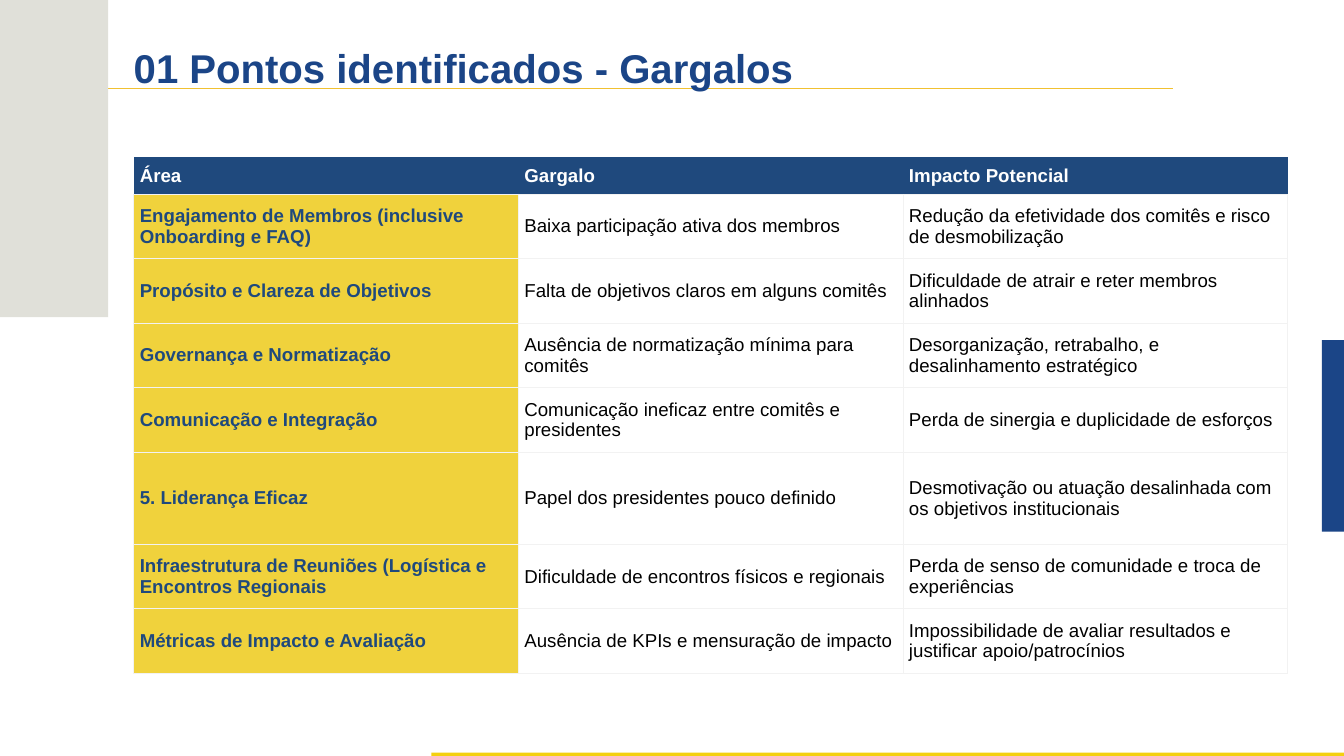
from lxml.etree import SubElement
from pptx import Presentation
from pptx.dml.color import RGBColor
from pptx.enum.shapes import MSO_CONNECTOR, MSO_SHAPE
from pptx.enum.text import MSO_ANCHOR
from pptx.oxml.ns import qn
from pptx.util import Inches, Pt

# Content
TITLE = "01 Pontos identificados - Gargalos"
HEAD = ("Área", "Gargalo", "Impacto Potencial")
ROWS = [
    ("Engajamento de Membros (inclusive Onboarding e FAQ)",
     "Baixa participação ativa dos membros",
     "Redução da efetividade dos comitês e risco de desmobilização"),
    ("Propósito e Clareza de Objetivos",
     "Falta de objetivos claros em alguns comitês",
     "Dificuldade de atrair e reter membros alinhados"),
    ("Governança e Normatização",
     "Ausência de normatização mínima para comitês",
     "Desorganização, retrabalho, e desalinhamento estratégico"),
    ("Comunicação e Integração",
     "Comunicação ineficaz entre comitês e presidentes",
     "Perda de sinergia e duplicidade de esforços"),
    ("5. Liderança Eficaz",
     "Papel dos presidentes pouco definido",
     "Desmotivação ou atuação desalinhada com os objetivos institucionais"),
    ("Infraestrutura de Reuniões (Logística e Encontros Regionais",
     "Dificuldade de encontros físicos e regionais",
     "Perda de senso de comunidade e troca de experiências"),
    ("Métricas de Impacto e Avaliação",
     "Ausência de KPIs e mensuração de impacto",
     "Impossibilidade de avaliar resultados e justificar apoio/patrocínios"),
]

THEME = dict(
    font="Arial", title=43, body=20,
    blue="1B4587", navy="1F497D", gold="F0D23C", sun="F4D010",
    rule="F1C131", sand="E0E0D9", grid="F2F2F2", white="FFFFFF", black="000000",
)

# Layout, in inches
WIDE, HIGH = 20, 11.25
SIDE = 1.61                      # width of the sand block
LEFT, TOP, SPAN = 1.99, 2.34, 17.17
HEAD_H, ROW_H, TALL_H = 0.55, 0.96, 1.37
TALL = 5                         # the one taller row
BLOCKS = [                       # left, top, right, bottom, colour
    (19.67, 5.06, WIDE, 7.91, "blue"),
    (6.42, 11.2, WIDE, HIGH, "sun"),
    (0, 0, SIDE, 4.72, "sand"),
]


def tint(key):
    return RGBColor.from_string(THEME[key])


def write(frame, text, size="body", color="black", bold=False):
    frame.word_wrap = True
    run = frame.paragraphs[0].add_run()
    run.text = text
    font = run.font
    font.name, font.size, font.bold = THEME["font"], Pt(THEME[size]), bold
    font.color.rgb = tint(color)


def edge(cell, sides):
    props = cell._tc.get_or_add_tcPr()
    for side in "LRTB":
        line = SubElement(props, qn("a:ln" + side), w=str(Pt(1)))
        if side in sides:
            fill = SubElement(line, qn("a:solidFill"))
            SubElement(fill, qn("a:srgbClr"), val=THEME["grid"])
        else:
            SubElement(line, qn("a:noFill"))


deck = Presentation()
deck.slide_width, deck.slide_height = Inches(WIDE), Inches(HIGH)
slide = deck.slides.add_slide(deck.slide_layouts[6])
shapes = slide.shapes

# Title rule
rule = shapes.add_connector(MSO_CONNECTOR.STRAIGHT, Inches(SIDE), Inches(1.32),
                            Inches(17.45), Inches(1.32))
rule.line.color.rgb = tint("rule")
rule.line.width = Pt(0.75)
SubElement(rule._element.spPr, qn("a:effectLst"))

# Edge blocks
for x, y, right, low, color in BLOCKS:
    block = shapes.add_shape(MSO_SHAPE.RECTANGLE, Inches(x), Inches(y),
                             Inches(right - x), Inches(low - y))
    block.shadow.inherit = False
    block.fill.solid()
    block.fill.fore_color.rgb = tint(color)
    block.line.fill.background()

# Title
frame = shapes.add_textbox(Inches(LEFT), Inches(0.3), Inches(10.68),
                           Inches(1.08)).text_frame
frame.margin_left = frame.margin_right = frame.margin_bottom = 0
frame.margin_top = Inches(0.35)
write(frame, TITLE, size="title", color="blue", bold=True)

# Table
highs = [HEAD_H] + [ROW_H] * len(ROWS)
highs[TALL] = TALL_H
table = shapes.add_table(len(highs), len(HEAD), Inches(LEFT), Inches(TOP),
                         Inches(SPAN), Inches(sum(highs))).table
table.horz_banding = False
style = table._tbl.tblPr.find(qn("a:tableStyleId"))
style.text = "{2D5ABB26-0587-4C30-8999-92F81FD0307C}"  # no style, no grid
for col in table.columns:
    col.width = Inches(SPAN / len(HEAD))

for r, (high, row) in enumerate(zip(highs, [HEAD] + ROWS)):
    table.rows[r].height = Inches(high)
    for c, text in enumerate(row):
        cell = table.cell(r, c)
        cell.vertical_anchor = MSO_ANCHOR.MIDDLE
        cell.margin_left = cell.margin_right = Inches(0.09)
        cell.margin_top = cell.margin_bottom = Inches(0.04)
        if r == 0:
            fill, color = "navy", "white"
        elif c == 0:
            fill, color = "gold", "navy"
        else:
            fill, color = None, "black"
        edge(cell, "LRTB" if r else "B")
        if fill:
            cell.fill.solid()
            cell.fill.fore_color.rgb = tint(fill)
        else:
            cell.fill.background()
        write(cell.text_frame, text, color=color, bold=fill is not None)

deck.save("out.pptx")
